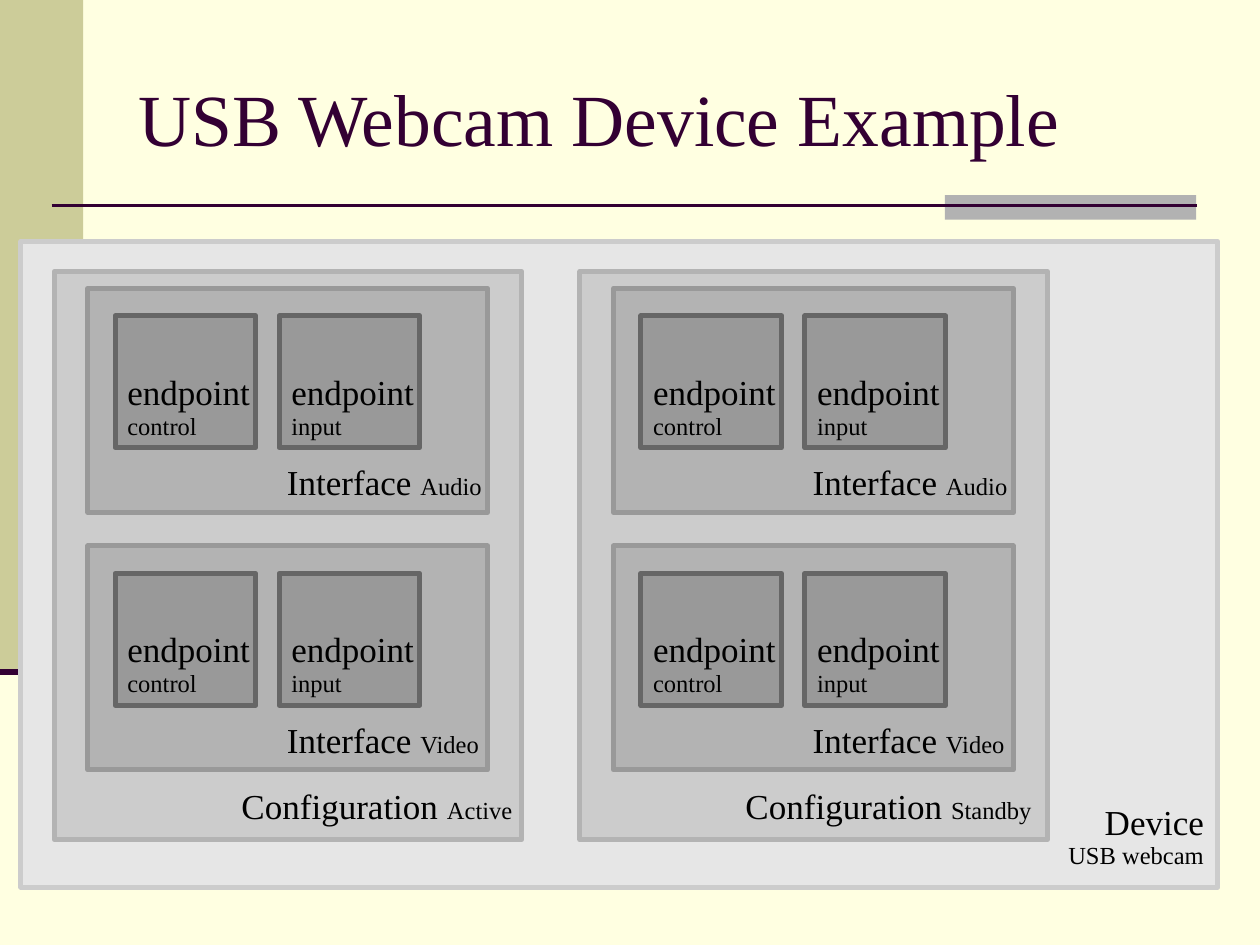
from lxml import etree
from pptx import Presentation
from pptx.dml.color import RGBColor
from pptx.enum.shapes import MSO_CONNECTOR, MSO_SHAPE
from pptx.enum.text import MSO_ANCHOR, PP_ALIGN
from pptx.oxml.ns import qn
from pptx.util import Pt

RECTANGLE = MSO_SHAPE.RECTANGLE
STRAIGHT = MSO_CONNECTOR.STRAIGHT
MIDDLE = MSO_ANCHOR.MIDDLE
LEFT, RIGHT = PP_ALIGN.LEFT, PP_ALIGN.RIGHT

FONT = "Times New Roman"
PLUM = "330033"
BORDER = 2.83
CONFIGURATION_PITCH = 300.4
INTERFACE_PITCH = 147.2
ENDPOINT_PITCH = 93.7


def color(hex_string):
    return RGBColor.from_string(hex_string)


def add_panel(page, box, fill, border=None):
    panel = page.shapes.add_shape(RECTANGLE, *map(Pt, box))
    panel.shadow.inherit = False
    panel.fill.solid()
    panel.fill.fore_color.rgb = color(fill)
    if border:
        panel.line.color.rgb = color(border)
        panel.line.width = Pt(BORDER)
        etree.SubElement(panel.line._get_or_add_ln(), qn("a:round"))
    else:
        panel.line.fill.background()


def add_rule(page, start, end, width):
    rule = page.shapes.add_connector(STRAIGHT, *map(Pt, start + end))
    rule.line.color.rgb = color(PLUM)
    rule.line.width = Pt(width)
    etree.SubElement(rule._element.spPr, qn("a:effectLst"))


def style_paragraph(para, size, text_color):
    para.font.name = FONT
    para.font.size = Pt(size)
    para.font.color.rgb = color(text_color)


def add_label(page, box, kind, detail, stacked=False, align=LEFT):
    """Write a large kind and a small detail, beside or below it."""
    frame = page.shapes.add_textbox(*map(Pt, box)).text_frame
    frame.word_wrap = True
    frame.margin_left = frame.margin_right = frame.margin_bottom = 0
    frame.margin_top = Pt(1.4)
    para = frame.paragraphs[0]
    para.alignment = align
    para.line_spacing = 0.93
    style_paragraph(para, 20, "000000")
    para.add_run().text = kind if stacked else kind + " "
    if stacked:
        para.add_line_break()
    span = para.add_run()
    span.text = detail
    span.font.size = Pt(14)


def add_backdrop(page):
    page.background.fill.solid()
    page.background.fill.fore_color.rgb = color("FFFFE1")
    add_panel(page, (0, 0, 47.5, 384), "CCCC99")
    add_panel(page, (540, 111.5, 143.5, 14), "B2B2B2")
    add_rule(page, (29.5, 117.5), (684, 117.5), 1.5)
    add_rule(page, (0, 384), (48, 384), 3.5)


def add_title(page, box, text):
    frame = page.shapes.add_textbox(*map(Pt, box)).text_frame
    frame.word_wrap = True
    frame.vertical_anchor = MIDDLE
    para = frame.paragraphs[0]
    para.text = text
    style_paragraph(para, 42, PLUM)


def add_endpoint(page, box, detail):
    left, top, _, _ = box
    add_panel(page, box, "999999", "666666")
    add_label(page, (left + 7, top + 31.9, 72, 38.9), "endpoint", detail, stacked=True)


def add_interface(page, box, detail):
    left, top, _, _ = box
    add_panel(page, box, "B3B3B3", "999999")
    add_label(page, (left + 113.8, top + 99.3, 114, 22.5), "Interface", detail)
    for column, role in enumerate(("control", "input")):
        endpoint_left = left + 15.6 + column * ENDPOINT_PITCH
        add_endpoint(page, (endpoint_left, top + 15.7, 80.4, 75.4), role)


def add_configuration(page, box, detail, label_offset):
    left, top, width, _ = box
    add_panel(page, box, "CCCCCC", "B3B3B3")
    add_label(page, (left + label_offset, top + 294.2, width - label_offset, 23),
              "Configuration", detail)
    for row, medium in enumerate(("Audio", "Video")):
        interface_top = top + 9.7 + row * INTERFACE_PITCH
        add_interface(page, (left + 19.2, interface_top, 228.5, 128), medium)


def add_device(page, box):
    left, top, _, _ = box
    add_panel(page, box, "E6E6E6", "CCCCCC")
    add_label(page, (left + 592, top + 320, 84, 39.6), "Device", "USB webcam",
              stacked=True, align=RIGHT)
    for column, (state, label_offset) in enumerate((("Active", 107), ("Standby", 94.6))):
        configuration_left = left + 19 + column * CONFIGURATION_PITCH
        add_configuration(page, (configuration_left, top + 17.1, 267.1, 324.7),
                          state, label_offset)


def main():
    deck = Presentation()
    deck.slide_width, deck.slide_height = Pt(720), Pt(540)
    page = deck.slides.add_slide(deck.slide_layouts[6])
    add_backdrop(page)
    add_title(page, (72, 22, 612, 90), "USB Webcam Device Example")
    add_device(page, (12, 138, 684, 369))
    deck.save("out.pptx")


if __name__ == "__main__":
    main()
